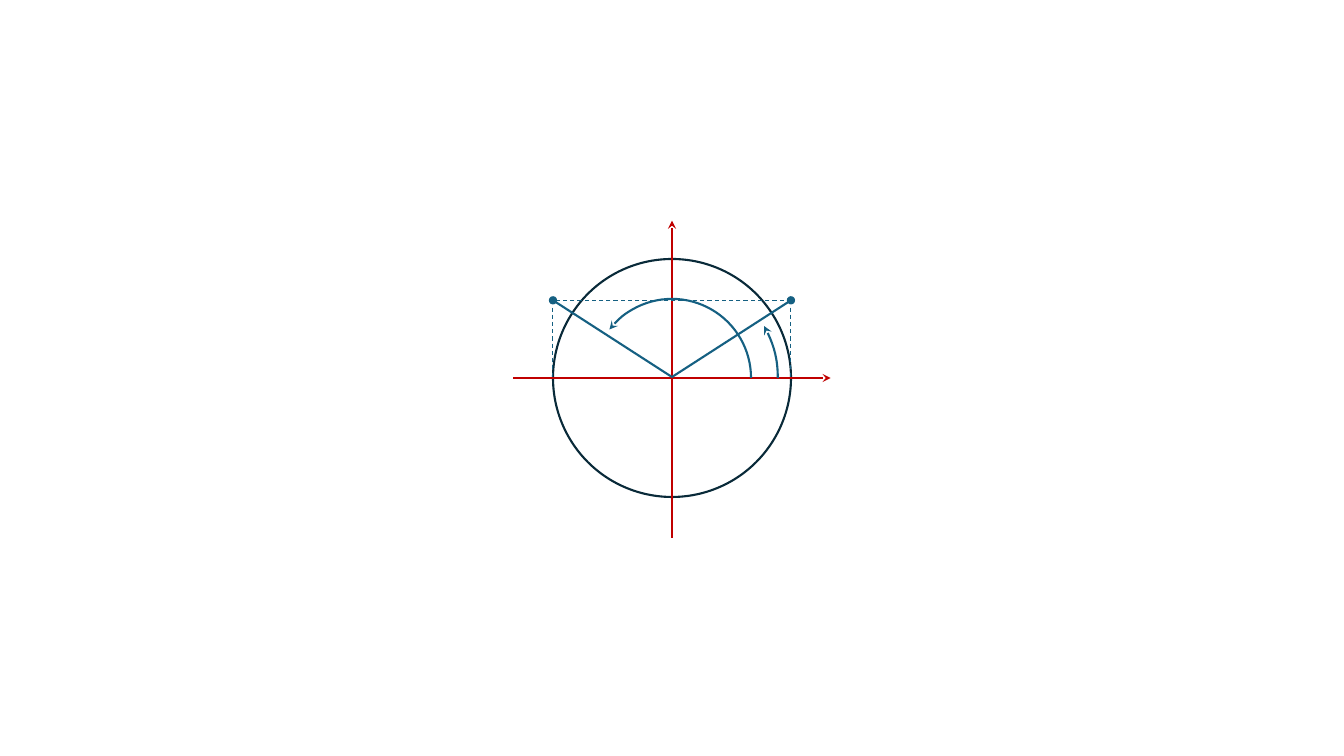
from lxml.etree import SubElement
from pptx import Presentation
from pptx.dml.color import RGBColor
from pptx.enum.dml import MSO_LINE
from pptx.enum.shapes import MSO_CONNECTOR, MSO_SHAPE
from pptx.oxml.ns import qn
from pptx.util import Pt

THEME = {
    "ring": {"color": "092A39", "width": 1.5},
    "axis": {"color": "C00000", "width": 1.5, "head": "stealth"},
    "ray": {"color": "156082", "width": 1.5, "head": "oval"},
    "guide": {"color": "156082", "width": 0.75, "dash": MSO_LINE.DASH},
    "sweep": {"color": "156082", "width": 1.5, "head": "stealth"},
}

SIZE = (960, 540)
CENTER = (480, 270)
RADIUS = 85
REACH = 113.4   # half an axis
RISE = 55.5     # height of the ray tips above the centre
SWEEPS = [(75.6, 330.64), (56.5, 217.8)]  # radius, angle of the arrow tip

# Ends are offsets from the centre; the arrowhead sits at the first one.
AXES = [
    ((0, 1 - REACH), (0, 1 + REACH)),
    ((REACH, 0), (-REACH, 0)),
]
LEFT, RIGHT = (-RADIUS, -RISE), (RADIUS, -RISE)
GUIDES = [(LEFT, (-RADIUS, 0)), (RIGHT, (RADIUS, 0)), (RIGHT, LEFT)]
RAYS = [(tip, (0, -0.7)) for tip in (LEFT, RIGHT)]


def style(line, name):
    look = THEME[name]
    line.color.rgb = RGBColor.from_string(look["color"])
    formats = {"width": Pt(look["width"]), "dash_style": look.get("dash")}
    for key, value in formats.items():
        setattr(line, key, value)
    if "head" in look:
        tree = line.color and line._get_or_add_ln()
        SubElement(tree, qn("a:headEnd"), type=look["head"])


def place(spot):
    """Turn an offset from the centre into slide lengths."""
    return [Pt(mid + off) for mid, off in zip(CENTER, spot)]


def add_line(slide, ends, name):
    first, last = ends
    line = slide.shapes.add_connector(
        MSO_CONNECTOR.STRAIGHT, *place(first), *place(last))
    SubElement(line._element.spPr, qn("a:ln"))
    style(line.line, name)
    SubElement(line._element.spPr, qn("a:effectLst"))


def add_round(slide, kind, radius, name):
    """Add an unfilled shape around the centre."""
    shape = slide.shapes.add_shape(
        kind, *place((-radius, -radius)), Pt(2 * radius), Pt(2 * radius))
    shape.shadow.inherit = False
    shape.fill.background()
    style(shape.line, name)
    return shape


def main():
    deck = Presentation()
    deck.slide_width, deck.slide_height = map(Pt, SIZE)
    slide = deck.slides.add_slide(deck.slide_layouts[6])

    add_round(slide, MSO_SHAPE.OVAL, RADIUS, "ring")
    for name, lines in (("axis", AXES), ("guide", GUIDES), ("ray", RAYS)):
        for ends in lines:
            add_line(slide, ends, name)
    for radius, angle in SWEEPS:
        arc = add_round(slide, MSO_SHAPE.ARC, radius, "sweep")
        # Angles count 60000 per degree, adjustments 100000 per unit.
        arc.adjustments[0] = angle * 0.6
        arc.adjustments[1] = 0

    deck.save("out.pptx")


if __name__ == "__main__":
    main()
